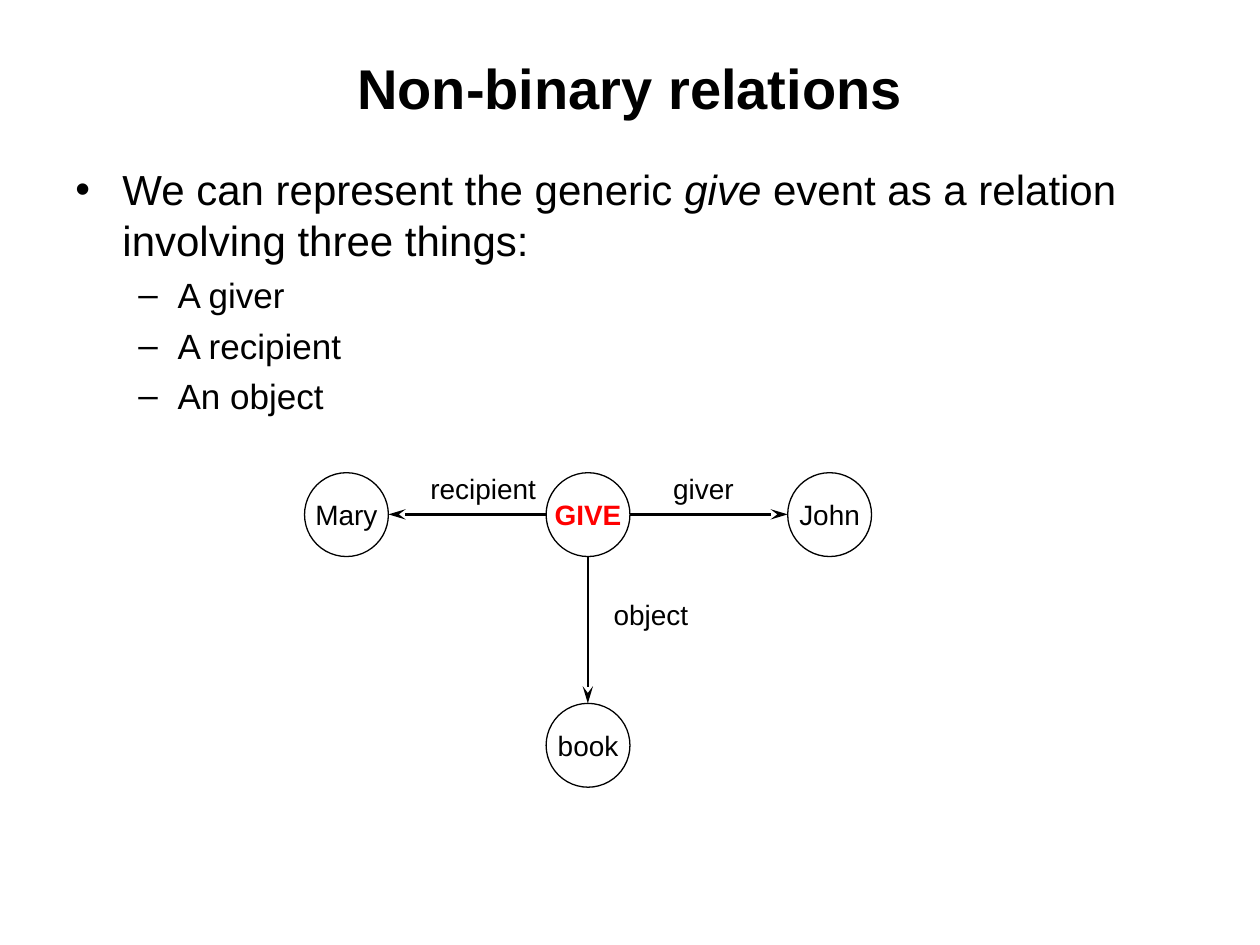
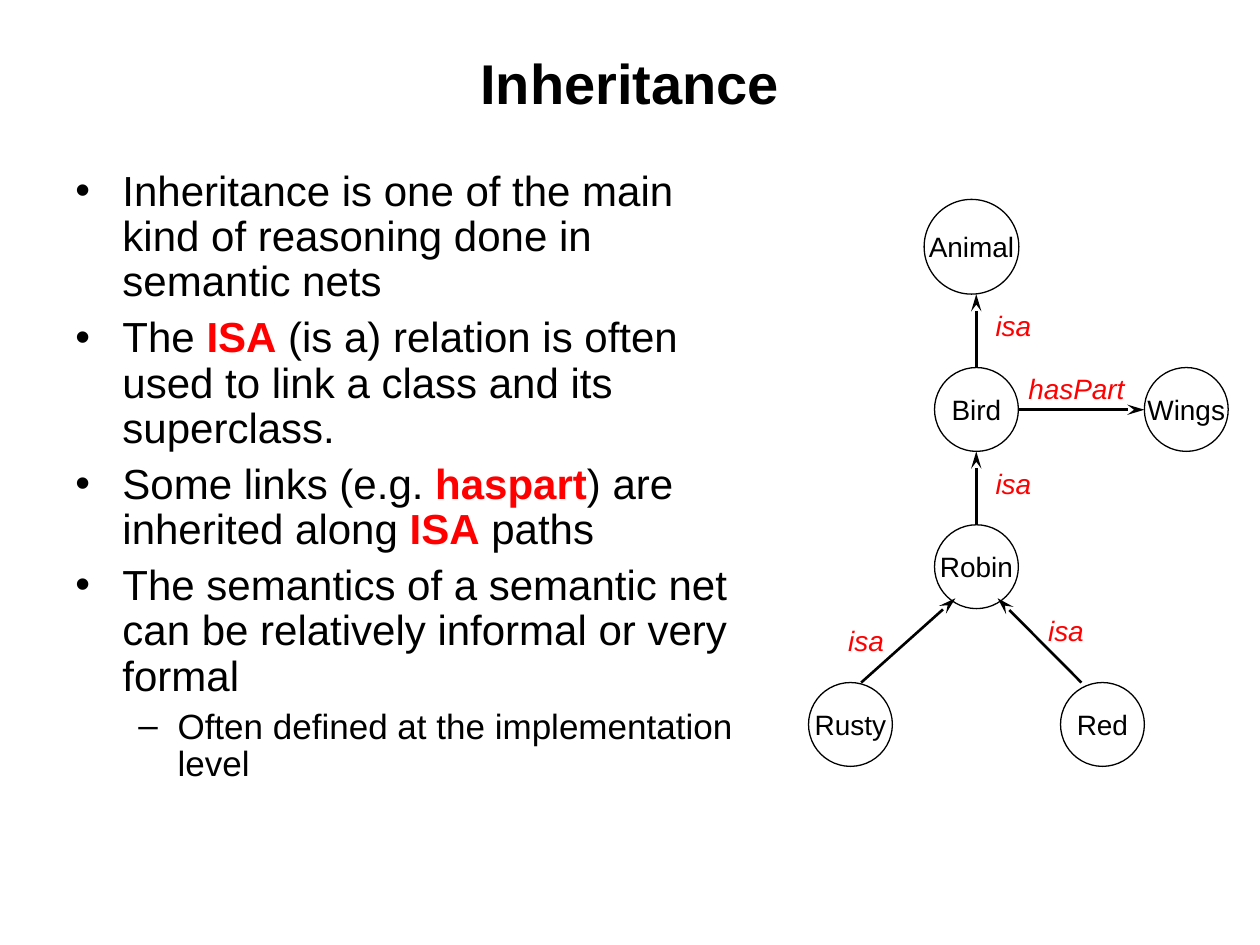
from lxml import etree
from pptx import Presentation
from pptx.dml.color import RGBColor
from pptx.enum.shapes import MSO_CONNECTOR, MSO_SHAPE
from pptx.enum.text import MSO_ANCHOR, PP_ALIGN
from pptx.oxml.ns import qn
from pptx.util import Cm, Pt

CENTER = PP_ALIGN.CENTER
MIDDLE = MSO_ANCHOR.MIDDLE
OVAL = MSO_SHAPE.OVAL
LINE = MSO_CONNECTOR.STRAIGHT
FONT = "Arial"
BLACK = "000000"
RED = "FF0000"
GRID = 2.54 / 12
NODE = 8
LEVELS = [("•", 24, 6, 0.95, -0.95), ("–", 20, 5, 2.06, -0.79)]


def color(code):
    return RGBColor.from_string(code)


def style(font, size, shade=BLACK, bold=False, italic=False):
    font.name = FONT
    font.size = Pt(size)
    font.color.rgb = color(shade)
    font.bold = bold
    font.italic = italic


def grid(*units):
    return [Cm(round(unit * GRID, 2)) for unit in units]


def center(frame, text, size, **look):
    frame.text = text
    frame.vertical_anchor = MIDDLE
    para = frame.paragraphs[0]
    para.alignment = CENTER
    style(para.runs[0].font, size, **look)


def title(slide, text, height):
    box = slide.shapes.add_textbox(Cm(1.27), Cm(0.76), Cm(22.86), Cm(height))
    box.text_frame.word_wrap = True
    center(box.text_frame, text, 32, bold=True)


def bullet(para, mark, left, hang):
    props = para._p.get_or_add_pPr()
    props.set("marL", str(Cm(left)))
    props.set("indent", str(Cm(hang)))
    etree.SubElement(props, qn("a:buFont")).set("typeface", FONT)
    etree.SubElement(props, qn("a:buChar")).set("char", mark)


def body(slide, box, items, spacing):
    frame = slide.shapes.add_textbox(*map(Cm, box)).text_frame
    frame.word_wrap = True
    for index, (level, spans) in enumerate(items):
        para = frame.add_paragraph() if index else frame.paragraphs[0]
        mark, size, gap, left, hang = LEVELS[level]
        para.level = level
        bullet(para, mark, left, hang)
        para.line_spacing = spacing
        para.space_before = Pt(gap if index else 0)
        for text, look in spans:
            run = para.add_run()
            run.text = text
            style(run.font, size, **look)


def node(slide, x, y, text, side=NODE, **look):
    oval = slide.shapes.add_shape(OVAL, *grid(x, y, side, side))
    oval.shadow.inherit = False
    oval.fill.background()
    oval.line.color.rgb = color(BLACK)
    oval.line.width = Pt(0.75)
    oval.text_frame.word_wrap = False
    center(oval.text_frame, text, 16, **look)


def arrow(slide, start, tip):
    link = slide.shapes.add_connector(LINE, *grid(*start, *tip))
    link.line.color.rgb = color(BLACK)
    link.line.width = Pt(1.5)
    props = link._element.spPr
    end = etree.SubElement(props.find(qn("a:ln")), qn("a:tailEnd"))
    end.set("type", "stealth")
    end.set("len", "lg")
    etree.SubElement(props, qn("a:effectLst"))


def label(slide, x, y, text, size, look):
    wide, high = size
    box = slide.shapes.add_textbox(*grid(x - wide / 2, y - high / 2, wide, high))
    frame = box.text_frame
    frame.word_wrap = False
    frame.margin_left = frame.margin_right = Cm(0)
    center(frame, text, 16, **look)


def net(slide, origin, nodes, links, size, look):
    left, top = origin

    def place(spot):
        return left + spot[0], top + spot[1]

    for spot, text, extra in nodes:
        node(slide, *place(spot), text, **extra)
    for start, tip, text, spot in links:
        arrow(slide, place(start), place(tip))
        label(slide, *place(spot), text, size, look)


def relations(slide):
    title(slide, "Non-binary relations", 1.98)
    items = [
        (0, [("We can represent the generic ", {}),
             ("give", {"italic": True}),
             (" event as a relation involving three things:", {})]),
        (1, [("A giver", {})]),
        (1, [("A recipient", {})]),
        (1, [("An object", {})]),
    ]
    body(slide, (1.27, 3.18, 22.86, 5.92), items, 1.0)
    nodes = [
        ((0, 0), "Mary", {}),
        ((23, 0), "GIVE", {"shade": RED, "bold": True}),
        ((46, 0), "John", {}),
        ((23, 22), "book", {}),
    ]
    links = [
        ((23, 4), (8, 4), "recipient", (17, 1.5)),
        ((31, 4), (46, 4), "giver", (38, 1.5)),
        ((27, 8), (27, 22), "object", (33, 13.5)),
    ]
    net(slide, (29, 45), nodes, links, (12, 3), {})


def inherit(slide):
    title(slide, "Inheritance", 1.78)
    strong = {"shade": RED, "bold": True}
    items = [
        (0, [("Inheritance is one of the main kind of reasoning done in "
              "semantic nets", {})]),
        (0, [("The ", {}), ("ISA", strong),
             (" (is a) relation is often used to link a class and its "
              "superclass.", {})]),
        (0, [("Some links (e.g. ", {}), ("haspart", strong),
             (") are inherited along ", {}), ("ISA", strong),
             (" paths", {})]),
        (0, [("The semantics of a semantic net can be relatively informal "
              "or very formal", {})]),
        (1, [("Often defined at the implementation level", {})]),
    ]
    body(slide, (1.27, 3.3, 14.17, 13.84), items, 0.9)
    nodes = [
        ((11, 0), "Animal", {"side": 9}),
        ((12, 16), "Bird", {}),
        ((32, 16), "Wings", {}),
        ((12, 31), "Robin", {}),
        ((0, 46), "Rusty", {}),
        ((24, 46), "Red", {}),
    ]
    links = [
        ((16, 16), (16, 9), "isa", (19.5, 12)),
        ((20, 20), (32, 20), "hasPart", (25.5, 18)),
        ((16, 31), (16, 24), "isa", (19.5, 27)),
        ((5, 46), (14, 38), "isa", (5.5, 42)),
        ((26, 46), (18, 38), "isa", (24.5, 41)),
    ]
    net(slide, (77, 19), nodes, links, (10, 2), {"shade": RED, "italic": True})


def main():
    deck = Presentation()
    deck.slide_width = Cm(25.4)
    deck.slide_height = Cm(19.05)
    for build in (relations, inherit):
        build(deck.slides.add_slide(deck.slide_layouts[6]))
    deck.save("out.pptx")


if __name__ == "__main__":
    main()
